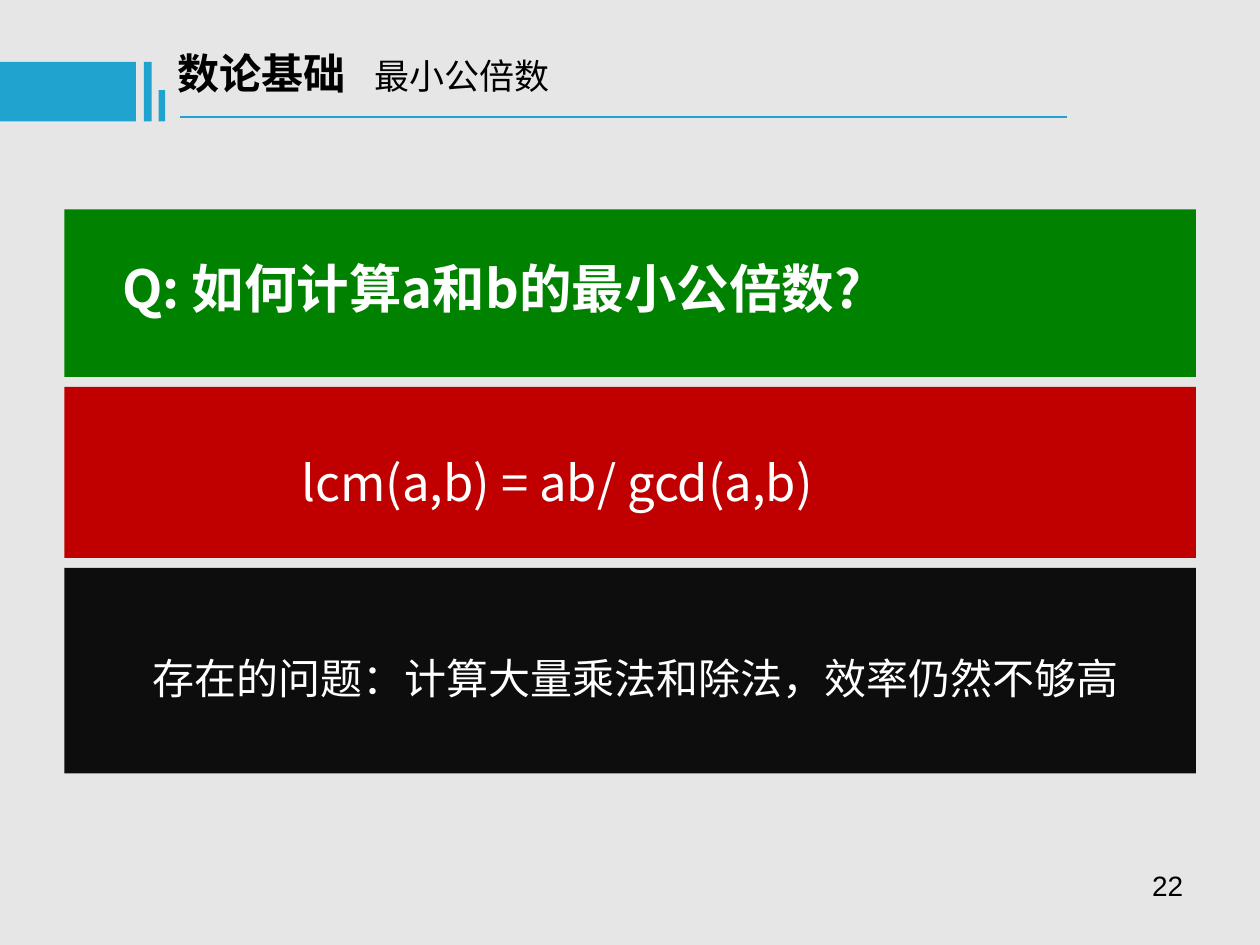
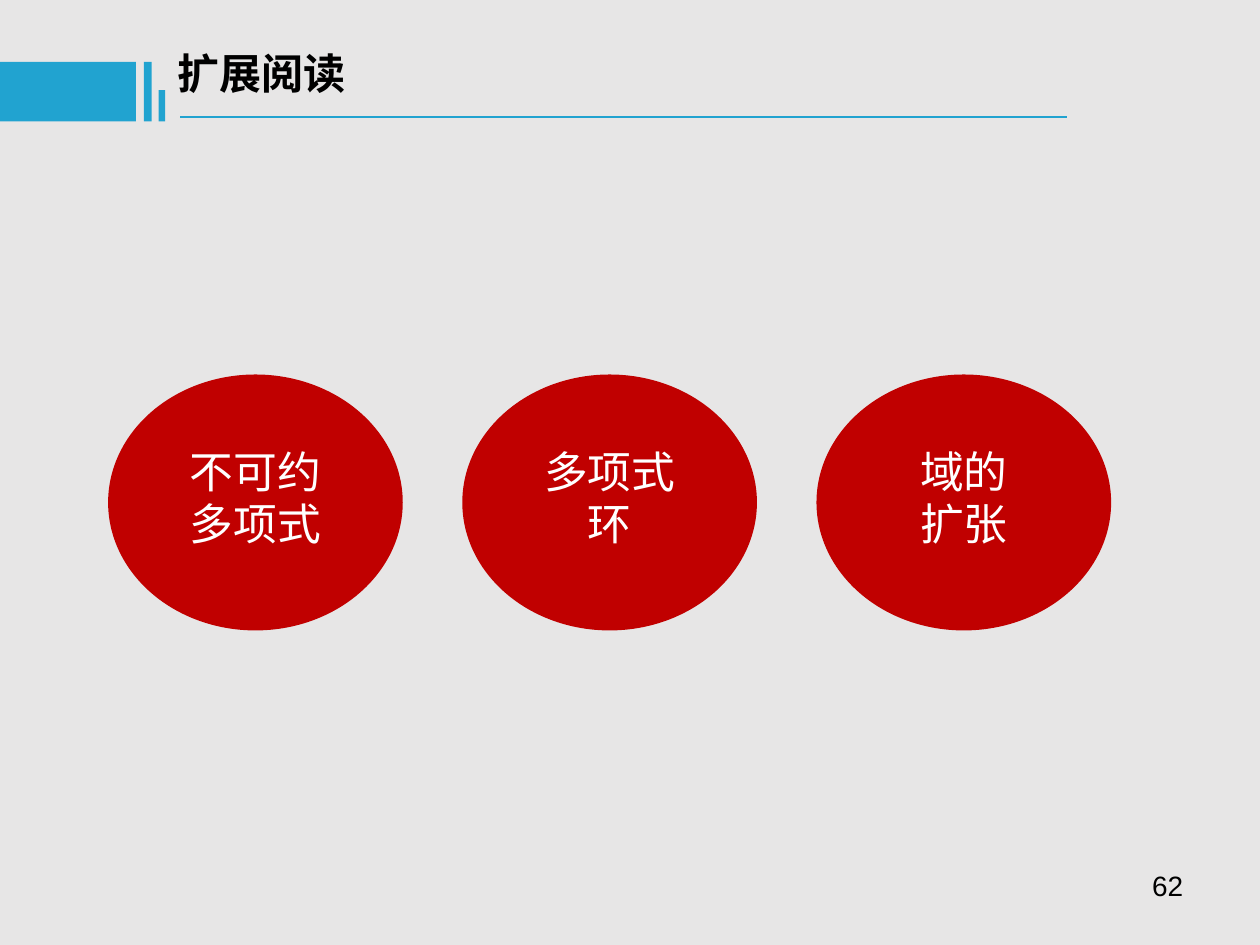
from lxml import etree
from pptx import Presentation
from pptx.dml.color import RGBColor
from pptx.enum import shapes, text
from pptx.oxml.ns import qn
from pptx.util import Cm, Pt

HUES = {
    "back": "E7E6E6", "band": "21A3D0", "green": "008200", "red": "C00000",
    "dark": "0D0D0D", "white": "FFFFFF", "black": "000000",
}
SANS = "Noto Sans CJK SC"
KIND = shapes.MSO_SHAPE
SIDE = text.PP_ALIGN


def add_box(slide, kind, left, top, width, height, hue):
    box = slide.shapes.add_shape(kind, Cm(left), Cm(top), Cm(width), Cm(height))
    box.shadow.inherit = False
    box.fill.solid()
    box.fill.fore_color.rgb = RGBColor.from_string(HUES[hue])
    box.line.fill.background()
    return box


def style(frame, size, hue, side=SIDE.LEFT, face=SANS, bold=False):
    """Format all runs, naming the face for Latin and East Asian text alike."""
    frame.word_wrap = True
    for para in frame.paragraphs:
        para.alignment = side
        for run in para.runs:
            font = run.font
            font.size, font.bold, font.name = Pt(size), bold, face
            font.color.rgb = RGBColor.from_string(HUES[hue])
            latin = run._r.rPr.find(qn("a:latin"))
            east = etree.Element(qn("a:ea"), typeface=face)
            latin.addnext(east)


prs = Presentation()
prs.slide_width, prs.slide_height = Cm(25.4), Cm(19.05)
fill = prs.slide_master.background.fill
fill.solid()
fill.fore_color.rgb = RGBColor.from_string(HUES["back"])

# Title, band and page number of each slide
pages = []
for head, sub, num in [("数论基础", "最小公倍数", "22"), ("扩展阅读", "", "62")]:
    slide = prs.slides.add_slide(prs.slide_layouts[5])
    pages.append(slide)

    title = slide.shapes.title
    title.left, title.top = Cm(3.33), Cm(0.84)
    title.width, title.height = Cm(18), Cm(1.27)
    frame = title.text_frame
    frame.text = head
    frame.auto_size = text.MSO_AUTO_SIZE.NONE
    frame.vertical_anchor = text.MSO_ANCHOR.MIDDLE
    style(frame, 24, "black", bold=True)
    if sub:
        para = frame.paragraphs[0]
        stops = etree.SubElement(para._p.get_or_add_pPr(), qn("a:tabLst"))
        etree.SubElement(stops, qn("a:tab"), pos=str(Cm(3.96)), algn="l")
        run = para.add_run()
        run.text = "\t" + sub
        first = para.runs[0]._r.rPr
        run._r.insert(0, etree.fromstring(etree.tostring(first)))
        run.font.size, run.font.bold = Pt(20), False

    for left, top, width, height in [
        (0, 1.25, 2.74, 1.2), (2.9, 1.25, 0.16, 1.2), (3.2, 1.82, 0.13, 0.63),
    ]:
        add_box(slide, KIND.RECTANGLE, left, top, width, height, "band")

    rule = slide.shapes.add_connector(
        shapes.MSO_CONNECTOR.STRAIGHT, Cm(3.63), Cm(2.36), Cm(21.51), Cm(2.36))
    rule.line.color.rgb = RGBColor.from_string(HUES["band"])
    rule.line.width = Pt(1.5)
    etree.SubElement(rule._element.spPr, qn("a:effectLst"))

    page = slide.shapes.add_textbox(Cm(18.21), Cm(17.35), Cm(5.92), Cm(1.32))
    frame = page.text_frame
    frame.text = num
    frame.margin_left = frame.margin_right = Cm(0.28)
    frame.margin_top = frame.margin_bottom = Cm(0.15)
    style(frame, 16, "black", SIDE.RIGHT, "Arial")

multiple, reading = pages

# Question, formula and drawback, stacked with equal gaps
top = 4.22
for words, hue, height, size, side, bold, lead, left, right in [
    ("Q: 如何计算a和b的最小公倍数?", "green", 3.38, 30, SIDE.LEFT, True, 1, 1.17, 0.25),
    ("lcm(a,b) = ab/ gcd(a,b)", "red", 3.45, 28, SIDE.CENTER, False, 1.5, 0.25, 3.2),
    ("存在的问题：计算大量乘法和除法，效率仍然不够高", "dark", 4.14, 24,
     SIDE.LEFT, False, 1.5, 1.77, 0.25),
]:
    bar = add_box(multiple, KIND.RECTANGLE, 1.3, top, 22.81, height, hue)
    frame = bar.text_frame
    frame.text = words
    frame.margin_left, frame.margin_right = Cm(left), Cm(right)
    frame.margin_bottom = Cm(0.35)
    frame.paragraphs[0].line_spacing = lead
    style(frame, size, "white", side, bold=bold)
    top += height + 0.2

# Topics for further reading
for i, words in enumerate(["不可约\n多项式", "多项式\n环", "域的\n扩张"]):
    disc = add_box(reading, KIND.OVAL, 2.18 + 7.14 * i, 7.55, 5.94, 5.16, "red")
    frame = disc.text_frame
    frame.text = words
    frame.margin_bottom = Cm(0.35)
    style(frame, 25, "white", SIDE.CENTER, "Calibri")

prs.save("out.pptx")
